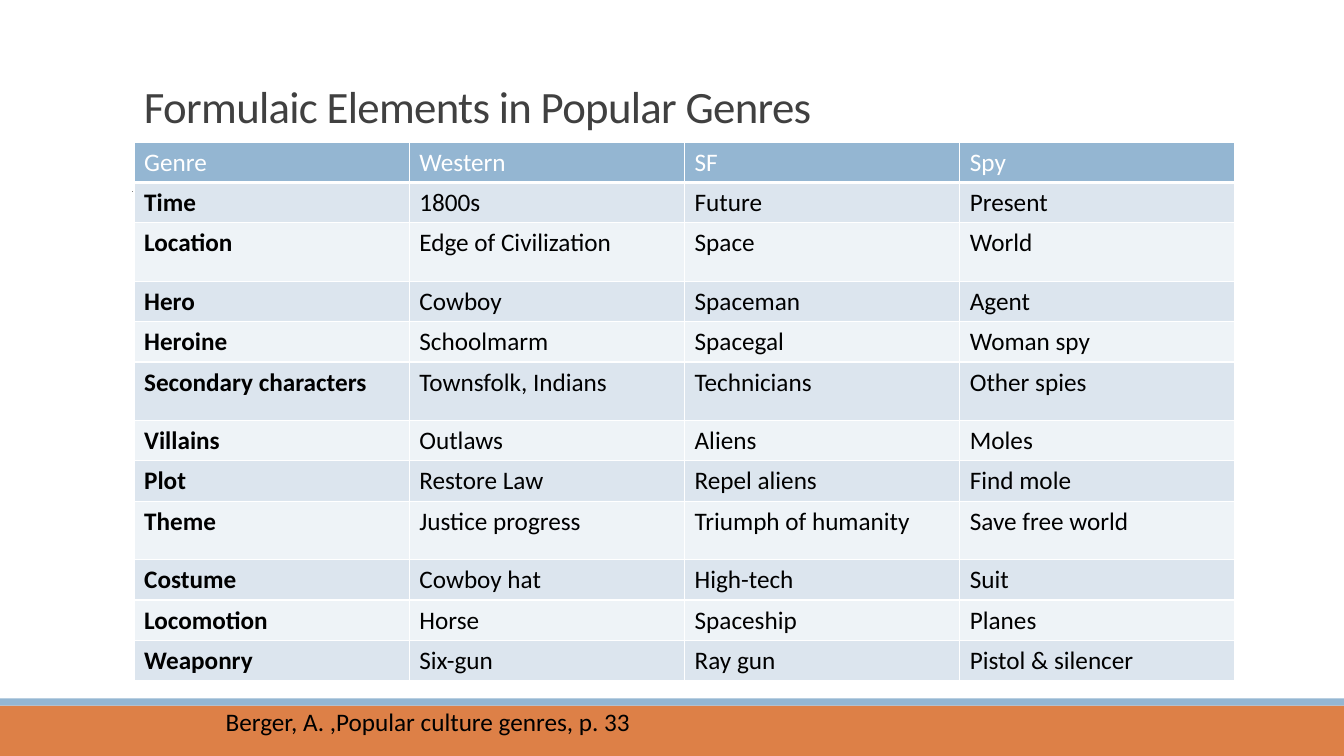
from pptx import Presentation
from pptx.dml.color import RGBColor
from pptx.enum.shapes import MSO_CONNECTOR, MSO_SHAPE
from pptx.enum.text import MSO_ANCHOR
from pptx.oxml.ns import qn
from pptx.util import Inches, Pt
from lxml.etree import SubElement

COLORS = {
    "orange": "DD8047", "blue": "94B6D2", "rule": "808080",
    "title": "404040", "text": "000000", "white": "FFFFFF",
    "band_dark": "DCE5EE", "band_light": "EEF3F7",
}
FONT = "Calibri"
GENRES = [
    ("Genre", "Western", "SF", "Spy"),
    ("Time", "1800s", "Future", "Present"),
    ("Location", "Edge of Civilization", "Space", "World"),
    ("Hero", "Cowboy", "Spaceman", "Agent"),
    ("Heroine", "Schoolmarm", "Spacegal", "Woman spy"),
    ("Secondary characters", "Townsfolk, Indians", "Technicians", "Other spies"),
    ("Villains", "Outlaws", "Aliens", "Moles"),
    ("Plot", "Restore Law", "Repel aliens", "Find mole"),
    ("Theme", "Justice progress", "Triumph of humanity", "Save free world"),
    ("Costume", "Cowboy hat", "High-tech", "Suit"),
    ("Locomotion", "Horse", "Spaceship", "Planes"),
    ("Weaponry", "Six-gun", "Ray gun", "Pistol & silencer"),
]
TALL_ROWS = {"Location", "Secondary characters", "Theme"}
ROW_HEIGHT, TALL_HEIGHT, COLUMN_WIDTH = 0.4, 0.58, 2.73


def color(name):
    return RGBColor.from_string(COLORS[name])


def write(para, text, size, color_name, bold=False):
    para.text = text
    font = para.font
    font.name, font.size, font.bold = FONT, Pt(size), bold
    font.color.rgb = color(color_name)


def add_band(page, top, height, color_name):
    band = page.shapes.add_shape(
        MSO_SHAPE.RECTANGLE, 0, Inches(top), Inches(13.33), Inches(height))
    band.shadow.inherit = False
    band.fill.solid()
    band.fill.fore_color.rgb = color(color_name)
    band.line.fill.background()


def add_rule(page, left, right, top):
    rule = page.shapes.add_connector(
        MSO_CONNECTOR.STRAIGHT, Inches(left), Inches(top), Inches(right), Inches(top))
    rule.line.color.rgb = color("rule")
    rule.line.width = Pt(0.5)
    SubElement(rule._element.spPr, qn("a:effectLst"))


def add_text(page, place, text, size, color_name, anchor=MSO_ANCHOR.TOP):
    box = page.shapes.add_textbox(*(Inches(length) for length in place))
    box.text_frame.word_wrap = True
    box.text_frame.vertical_anchor = anchor
    para = box.text_frame.paragraphs[0]
    write(para, text, size, color_name)
    return para


def add_borders(cell, bottom_width):
    properties = cell._tc.get_or_add_tcPr()
    widths = {"a:lnL": 1, "a:lnR": 1, "a:lnT": 1, "a:lnB": bottom_width}
    # Borders come before the fill in the cell properties
    for index, (side, width) in enumerate(widths.items()):
        border = SubElement(properties, qn(side), w=str(Pt(width)))
        fill = SubElement(border, qn("a:solidFill"))
        SubElement(fill, qn("a:srgbClr"), val=COLORS["white"])
        properties.insert(index, border)


def fill_cell(cell, text, row, column):
    header = row == 0
    band = "blue" if header else "band_dark" if row % 2 else "band_light"
    cell.fill.solid()
    cell.fill.fore_color.rgb = color(band)
    add_borders(cell, 3 if header else 1)
    write(cell.text_frame.paragraphs[0], text, 18,
          "white" if header else "text", bold=column == 0 and not header)


def add_genre_table(page):
    heights = [TALL_HEIGHT if row[0] in TALL_ROWS else ROW_HEIGHT for row in GENRES]
    columns = len(GENRES[0])
    table = page.shapes.add_table(
        len(GENRES), columns, Inches(1.33), Inches(1.41),
        Inches(COLUMN_WIDTH * columns), Inches(sum(heights))).table
    table.first_row = table.horz_banding = False
    for column in table.columns:
        column.width = Inches(COLUMN_WIDTH)
    for row, (height, texts) in enumerate(zip(heights, GENRES)):
        table.rows[row].height = Inches(height)
        for column, text in enumerate(texts):
            fill_cell(table.cell(row, column), text, row, column)


def main():
    deck = Presentation()
    deck.slide_width, deck.slide_height = Inches(13.33), Inches(7.5)
    page = deck.slides.add_slide(deck.slide_layouts[6])

    # Footer bands and the rule behind the table
    add_band(page, 7, 0.5, "orange")
    add_band(page, 6.93, 0.07, "blue")
    add_rule(page, 1.31, 12.21, 1.9)

    # Title, slightly tightened
    title = add_text(page, (1.33, 0.12, 8.33, 1.25),
                     "Formulaic Elements in Popular Genres", 32, "title", MSO_ANCHOR.BOTTOM)
    title.line_spacing = 0.85
    title.runs[0].font._element.set("spc", "-50")

    # Table and its citation
    add_genre_table(page)
    add_text(page, (2.14, 6.96, 4.5, 0.4),
             "Berger, A. ,Popular culture genres, p. 33", 18, "text")

    deck.save("out.pptx")


if __name__ == "__main__":
    main()
